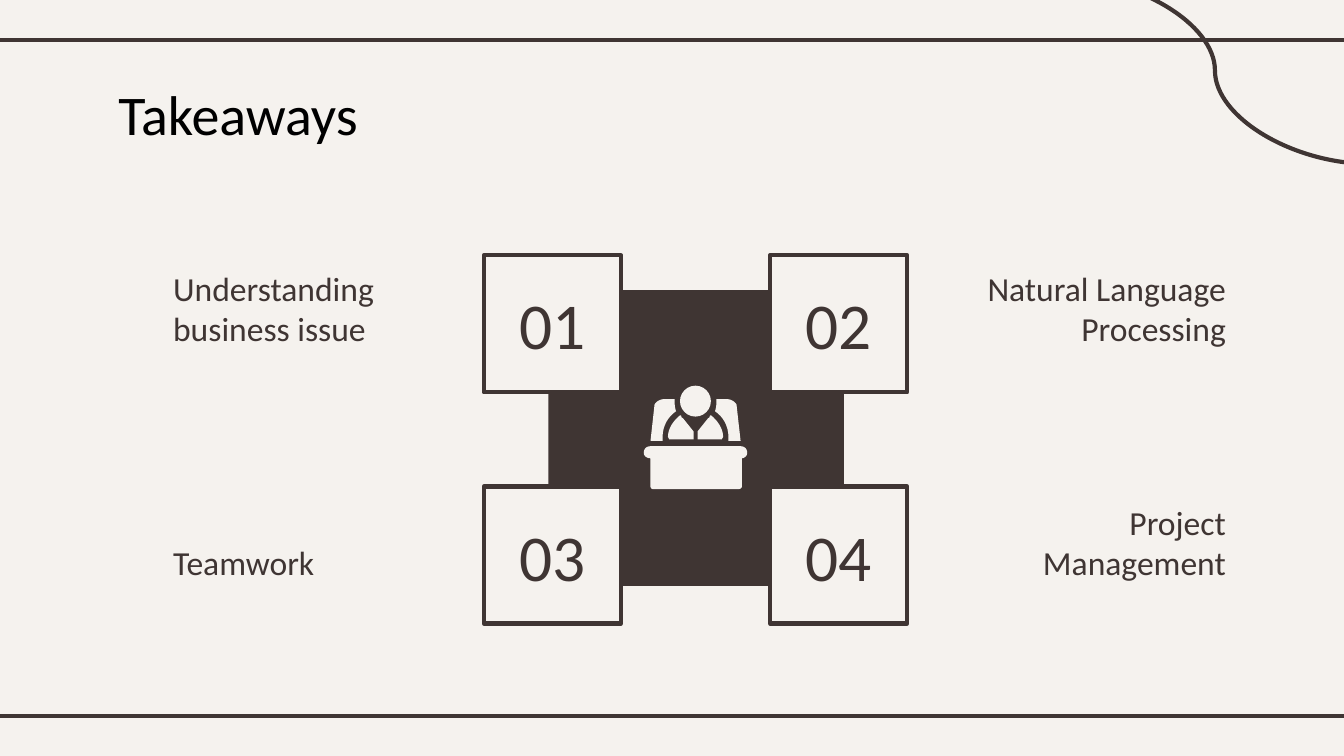
from pptx import Presentation
from pptx.dml.color import RGBColor
from pptx.enum.shapes import MSO_CONNECTOR, MSO_SHAPE
from pptx.enum.text import MSO_ANCHOR, PP_ALIGN
from pptx.oxml.ns import qn
from pptx.util import Inches, Pt
from lxml.etree import SubElement

COLORS = {"paper": "F5F2EE", "ink": "3F3533", "title": "000000"}
FONT = "Calibri"
LEFT, CENTER, RIGHT = PP_ALIGN.LEFT, PP_ALIGN.CENTER, PP_ALIGN.RIGHT

# Content: text, box (left, top, width, height), alignment
TITLE = "Takeaways"
TAKEAWAYS = [
    ("Understanding business issue", (1.19, 1.93, 2, 0.72), LEFT),
    ("Natural Language Processing", (7.07, 1.93, 2.15, 0.72), RIGHT),
    ("Teamwork", (1.19, 3.99, 2, 0.39), LEFT),
    ("Project Management", (7.22, 3.84, 2, 0.39), RIGHT),
]
NUMBERS = ["01", "02", "03", "04"]

# Number grid
GRID_LEFT, GRID_TOP = 3.6, 1.9
STEP_X, STEP_Y = 2.13, 1.72
SQUARE = 1.02
LABEL_W, LABEL_H = 1.11, 0.73

# Speaker icon: (x, y) is a corner, six numbers are a Bézier curve
ICON_AXIS = 5.175
DESK = [
    (4.84, 3.32), (4.81, 3.32, 4.79, 3.34, 4.79, 3.37),
    (4.79, 3.39, 4.81, 3.41, 4.84, 3.41), (4.84, 3.62),
    (4.84, 3.63, 4.85, 3.64, 4.86, 3.64), (5.49, 3.64),
    (5.51, 3.64, 5.52, 3.63, 5.52, 3.62), (5.52, 3.41),
    (5.54, 3.41, 5.56, 3.39, 5.56, 3.37),
    (5.56, 3.34, 5.54, 3.32, 5.51, 3.32),
]
CHAIR_SIDE = [
    (5.33, 2.97), (5.33, 2.97, 5.33, 2.98, 5.33, 2.99),
    (5.33, 3.01, 5.33, 3.03, 5.32, 3.06),
    (5.38, 3.1, 5.42, 3.17, 5.42, 3.25), (5.42, 3.28), (5.51, 3.28),
    (5.48, 3.01), (5.47, 2.99, 5.44, 2.97, 5.41, 2.97),
]
JACKET_SIDE = [
    (5.29, 3.09), (5.29, 3.09, 5.28, 3.09, 5.28, 3.1),
    (5.28, 3.1, 5.28, 3.11, 5.27, 3.11), (5.19, 3.21), (5.19, 3.27),
    (5.37, 3.27), (5.38, 3.25), (5.38, 3.19, 5.34, 3.13, 5.29, 3.09),
]


def rgb(name):
    return RGBColor.from_string(COLORS[name])


def place(shape, box):
    shape.left, shape.top, shape.width, shape.height = map(Inches, box)


def write(shape, text, size, color="ink", align=LEFT, anchor=MSO_ANCHOR.MIDDLE):
    frame = shape.text_frame
    frame.word_wrap = True
    frame.vertical_anchor = anchor
    frame.margin_left = frame.margin_right = Inches(0.1)
    frame.margin_top = frame.margin_bottom = Inches(0.1)
    paragraph = frame.paragraphs[0]
    paragraph.alignment = align
    run = paragraph.add_run()
    run.text = text
    run.font.size, run.font.name = Pt(size), FONT
    run.font.color.rgb = rgb(color)


def paint(shape, fill, outline=None):
    shape.shadow.inherit = False
    shape.fill.solid()
    shape.fill.fore_color.rgb = rgb(fill)
    if outline:
        shape.line.color.rgb = rgb(outline)
        shape.line.width = Pt(2.25)
        SubElement(shape.line._get_or_add_ln(), qn("a:round"))
    else:
        shape.line.fill.background()


def add_rule(slide, kind, *ends):
    rule = slide.shapes.add_connector(kind, *map(Inches, ends))
    rule.line.color.rgb = rgb("ink")
    rule.line.width = Pt(2.25)
    SubElement(rule._element.spPr, qn("a:effectLst"))


def flatten(outline, steps=8):
    points = [outline[0]]
    for part in outline[1:]:
        if len(part) == 2:
            points.append(part)
            continue
        controls = [points[-1], part[:2], part[2:4], part[4:]]
        for i in range(1, steps + 1):
            t = i / steps
            weights = ((1 - t) ** 3, 3 * t * (1 - t) ** 2, 3 * t * t * (1 - t), t ** 3)
            points.append(tuple(sum(w * c[axis] for w, c in zip(weights, controls))
                                for axis in (0, 1)))
    return points


def add_icon_part(slide, points):
    corners = [(Inches(x), Inches(y)) for x, y in points]
    builder = slide.shapes.build_freeform(*corners[0])
    builder.add_line_segments(corners[1:], close=True)
    paint(builder.convert_to_shape(), "paper")


def main():
    # Widescreen page, 16:9
    deck = Presentation()
    deck.slide_width = Inches(10)
    deck.slide_height = Inches(10 * 9 / 16)
    slide = deck.slides.add_slide(deck.slide_layouts[5])
    slide.background.fill.solid()
    slide.background.fill.fore_color.rgb = rgb("paper")
    shapes = slide.shapes

    # Frame lines and corner curve
    for y in (0.3, 5.33):
        add_rule(slide, MSO_CONNECTOR.STRAIGHT, -0.08, y, 10.08, y)
    add_rule(slide, MSO_CONNECTOR.CURVE, 7.88, -0.17, 10.2, 1.22)

    # Title
    place(shapes.title, (0.78, 0.49, 8.44, 0.63))
    write(shapes.title, TITLE, 30, "title", anchor=MSO_ANCHOR.TOP)

    # Takeaway texts
    for text, box, align in TAKEAWAYS:
        write(shapes.add_textbox(*map(Inches, box)), text, 18, align=align)

    # Central square
    hub = shapes.add_shape(MSO_SHAPE.RECTANGLE, *map(Inches, (4.08, 2.16, 2.2, 2.2)))
    paint(hub, "ink")

    # Speaker icon, with its sides mirrored about the axis
    head = shapes.add_shape(MSO_SHAPE.OVAL, *map(Inches, (5.06, 2.87, 0.23, 0.23)))
    paint(head, "paper")
    add_icon_part(slide, flatten(DESK))
    for side in (CHAIR_SIDE, JACKET_SIDE):
        points = flatten(side)
        add_icon_part(slide, points)
        add_icon_part(slide, [(2 * ICON_AXIS - x, y) for x, y in points])

    # Numbered squares
    for i, number in enumerate(NUMBERS):
        row, column = divmod(i, 2)
        left = GRID_LEFT + column * STEP_X
        top = GRID_TOP + row * STEP_Y
        square = shapes.add_shape(MSO_SHAPE.RECTANGLE,
                                  *map(Inches, (left, top, SQUARE, SQUARE)))
        paint(square, "paper", "ink")
        label = shapes.add_textbox(Inches(left - (LABEL_W - SQUARE) / 2),
                                   Inches(top + (SQUARE - LABEL_H) / 2),
                                   Inches(LABEL_W), Inches(LABEL_H))
        write(label, number, 35, align=CENTER)

    deck.save("out.pptx")


if __name__ == "__main__":
    main()
